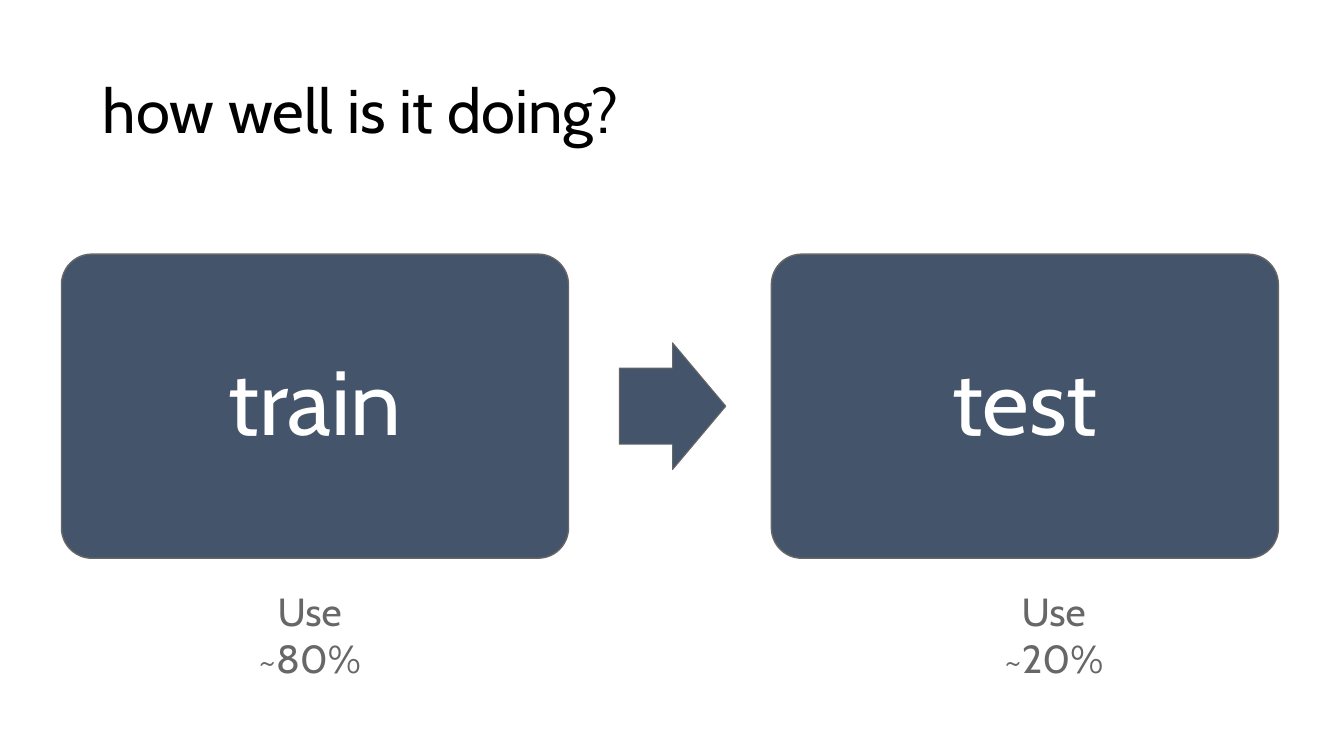
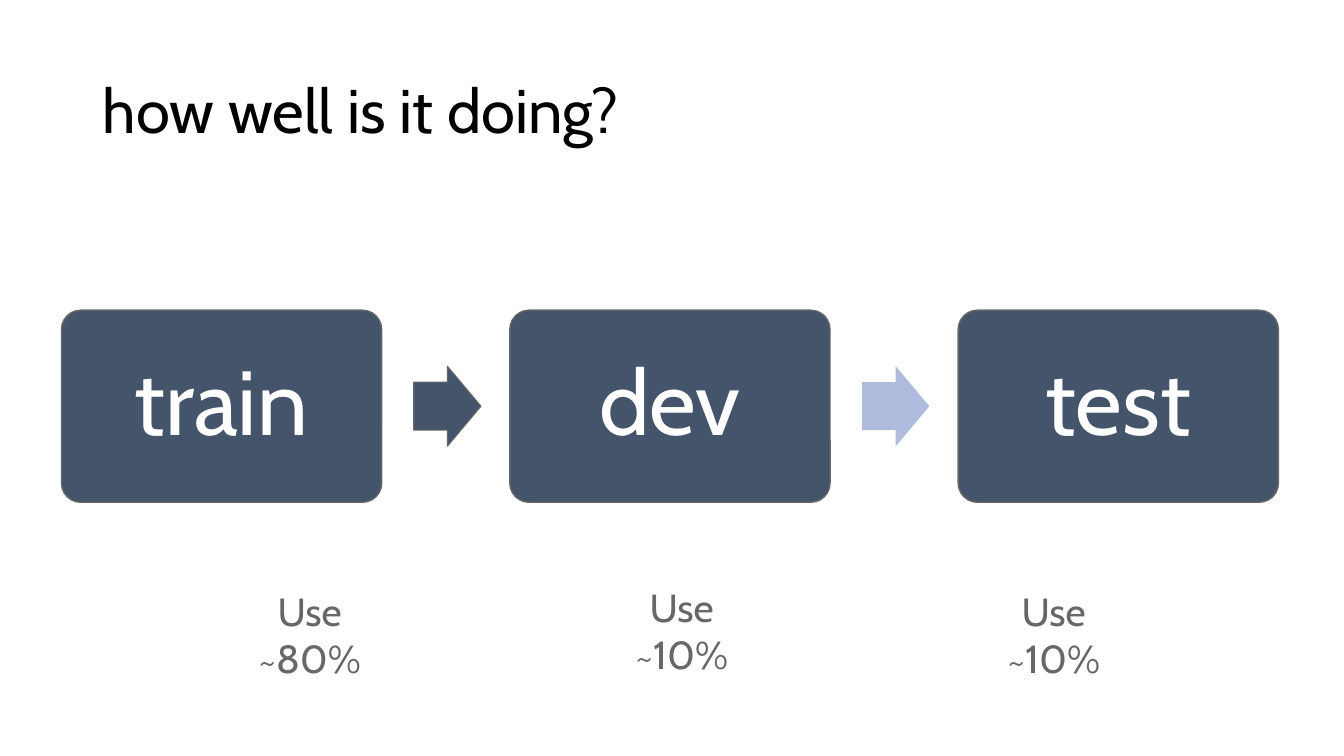
from dataclasses import dataclass
from typing import Any, Optional

from pptx import Presentation
from pptx.dml.color import RGBColor
from pptx.enum.shapes import MSO_SHAPE
from pptx.enum.text import MSO_ANCHOR, MSO_AUTO_SIZE, PP_ALIGN
from pptx.util import Inches, Pt

ROUNDED, ARROW = MSO_SHAPE.ROUNDED_RECTANGLE, MSO_SHAPE.RIGHT_ARROW
LEFT, CENTER = PP_ALIGN.LEFT, PP_ALIGN.CENTER
TOP, MIDDLE = MSO_ANCHOR.TOP, MSO_ANCHOR.MIDDLE
NO_AUTOFIT = MSO_AUTO_SIZE.NONE

# Shared look
SLIDE_WIDTH, SLIDE_HEIGHT = 13.33, 7.5
FONT = "Cabin"
BLACK, WHITE, GRAY = "000000", "FFFFFF", "676767"
NAVY, PALE_BLUE = "44546A", "B0BCDE"
TITLE = "how well is it doing?"

# Flow row: every proportion is a share of one step's width
FLOW_LEFT, FLOW_WIDTH, FLOW_MIDDLE = 0.61, 12.07, 4.03
GAP_SHARE, STEP_HEIGHT_SHARE = 0.4, 0.6
ARROW_WIDTH_SHARE, ARROW_HEIGHT_SHARE, ARROW_OFFSET_SHARE = 0.21, 0.25, 0.1

# Captions stand on three columns of their own
CAPTION_CENTER, CAPTION_PITCH = 3.07, 3.69
CAPTION_WIDTH, CAPTION_HEIGHT = 1.88, 1.0
CAPTION_TOP, RAISED_CAPTION_TOP = 5.78, 5.74


@dataclass(frozen=True)
class TextStyle:
    size: float
    color: str
    alignment: Any = CENTER
    anchor: Any = MIDDLE
    side_margin: float = 0.1
    line_spacing: float = 1.0


@dataclass(frozen=True)
class Box:
    left: float
    top: float
    width: float
    height: float

    def lengths(self) -> list:
        return [Inches(n) for n in (self.left, self.top, self.width, self.height)]


@dataclass(frozen=True)
class Caption:
    text: str
    column: int
    top: float = CAPTION_TOP


@dataclass(frozen=True)
class ArrowStyle:
    fill: str
    line: Optional[str] = None


@dataclass(frozen=True)
class FlowSlide:
    steps: tuple[str, ...]
    arrows: tuple[ArrowStyle, ...]
    captions: tuple[Caption, ...]


TITLE_STYLE = TextStyle(44, BLACK, alignment=LEFT, line_spacing=0.9)
STEP_STYLE = TextStyle(65, WHITE, side_margin=0.27, line_spacing=0.9)
CAPTION_STYLE = TextStyle(28, GRAY, anchor=TOP, side_margin=0.2)
TITLE_BOX = Box(0.92, 0.4, 11.5, 1.45)
NAVY_ARROW, PALE_ARROW = ArrowStyle(NAVY, GRAY), ArrowStyle(PALE_BLUE)

SLIDES = (
    FlowSlide(
        ("train", "test"),
        (NAVY_ARROW,),
        (Caption("Use ~80%", 0), Caption("Use ~20%", 2)),
    ),
    FlowSlide(
        ("train", "dev", "test"),
        (NAVY_ARROW, PALE_ARROW),
        (
            Caption("Use ~80%", 0),
            Caption("Use ~10%", 1, RAISED_CAPTION_TOP),
            Caption("Use ~10%", 2),
        ),
    ),
)


def rgb(color: str) -> RGBColor:
    return RGBColor.from_string(color)


def apply_format(target: Any, values: dict[str, Any]) -> None:
    for name, value in values.items():
        setattr(target, name, value)


def write_text(shape: Any, text: str, style: TextStyle) -> None:
    frame = shape.text_frame
    margin = Inches(style.side_margin)
    apply_format(frame, {
        "text": text, "word_wrap": True, "auto_size": NO_AUTOFIT,
        "vertical_anchor": style.anchor,
        "margin_left": margin, "margin_right": margin,
    })
    paragraph = frame.paragraphs[0]
    apply_format(paragraph, {
        "alignment": style.alignment, "line_spacing": style.line_spacing,
    })
    font = paragraph.runs[0].font
    apply_format(font, {"name": FONT, "size": Pt(style.size)})
    font.color.rgb = rgb(style.color)


def add_title(slide: Any) -> None:
    title = slide.shapes.title
    names = ("left", "top", "width", "height")
    apply_format(title, dict(zip(names, TITLE_BOX.lengths())))
    write_text(title, TITLE, TITLE_STYLE)


def add_block(slide: Any, kind: Any, box: Box, fill: str, line: Optional[str],
              line_width: float, adjustments: tuple[float, ...]) -> Any:
    shape = slide.shapes.add_shape(kind, *box.lengths())
    shape.shadow.inherit = False
    for index, value in enumerate(adjustments):
        shape.adjustments[index] = value
    shape.fill.solid()
    shape.fill.fore_color.rgb = rgb(fill)
    if line is None:
        shape.line.fill.background()
    else:
        shape.line.color.rgb = rgb(line)
        shape.line.width = Pt(line_width)
    return shape


def centered_box(left: float, width: float, height: float) -> Box:
    return Box(left, FLOW_MIDDLE - height / 2, width, height)


def add_flow(slide: Any, content: FlowSlide) -> None:
    count = len(content.steps)
    width = FLOW_WIDTH / (count + GAP_SHARE * (count - 1))
    pitch = width * (1 + GAP_SHARE)

    # Steps
    for index, label in enumerate(content.steps):
        box = centered_box(FLOW_LEFT + index * pitch, width, width * STEP_HEIGHT_SHARE)
        step = add_block(slide, ROUNDED, box, NAVY, GRAY, 1, (0.1,))
        write_text(step, label, STEP_STYLE)

    # Arrows in the gaps
    for index, style in enumerate(content.arrows):
        left = FLOW_LEFT + index * pitch + width * (1 + ARROW_OFFSET_SHARE)
        box = centered_box(left, width * ARROW_WIDTH_SHARE, width * ARROW_HEIGHT_SHARE)
        add_block(slide, ARROW, box, style.fill, style.line, 0.75, (0.6, 0.5))


def add_caption(slide: Any, caption: Caption) -> None:
    left = CAPTION_CENTER + caption.column * CAPTION_PITCH - CAPTION_WIDTH / 2
    box = Box(left, caption.top, CAPTION_WIDTH, CAPTION_HEIGHT)
    write_text(slide.shapes.add_textbox(*box.lengths()), caption.text, CAPTION_STYLE)


def main() -> None:
    presentation = Presentation()
    apply_format(presentation, {
        "slide_width": Inches(SLIDE_WIDTH), "slide_height": Inches(SLIDE_HEIGHT),
    })
    title_only = presentation.slide_layouts.get_by_name("Title Only")
    for content in SLIDES:
        slide = presentation.slides.add_slide(title_only)
        add_title(slide)
        add_flow(slide, content)
        for caption in content.captions:
            add_caption(slide, caption)
    presentation.save("out.pptx")


if __name__ == "__main__":
    main()
